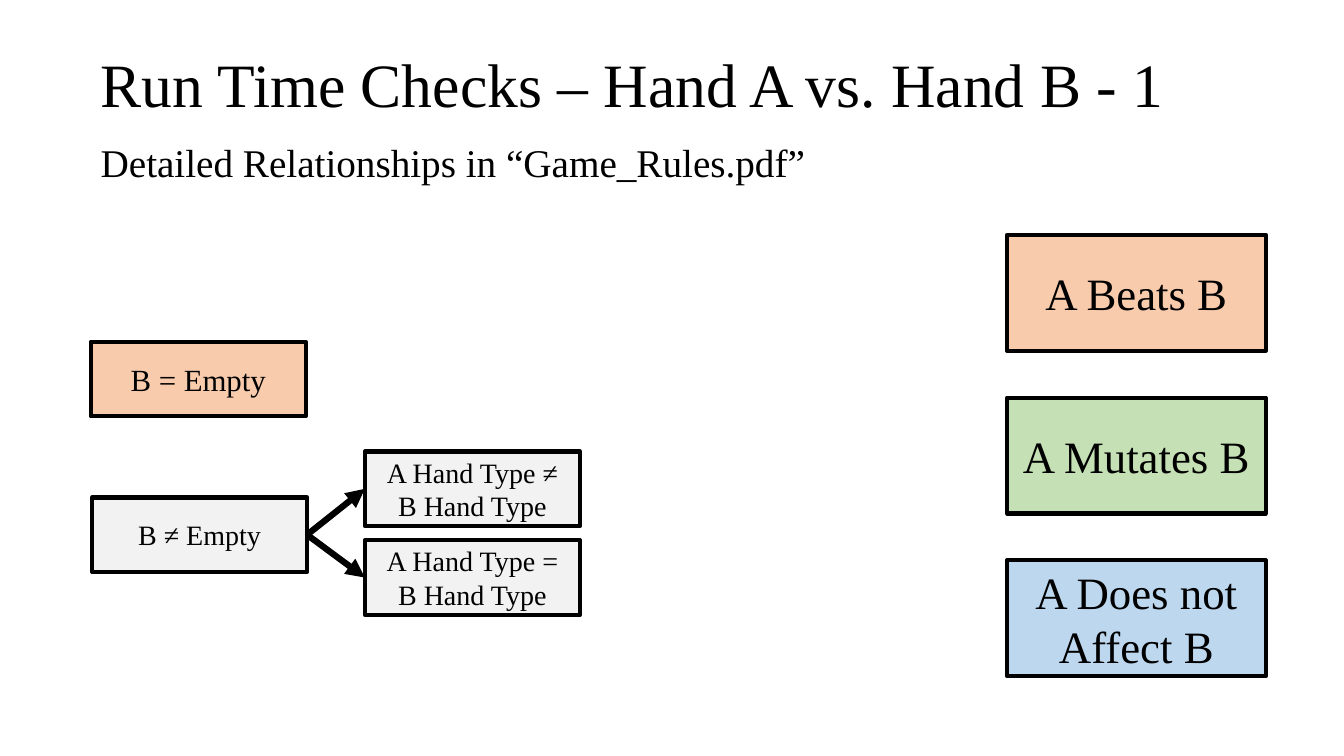
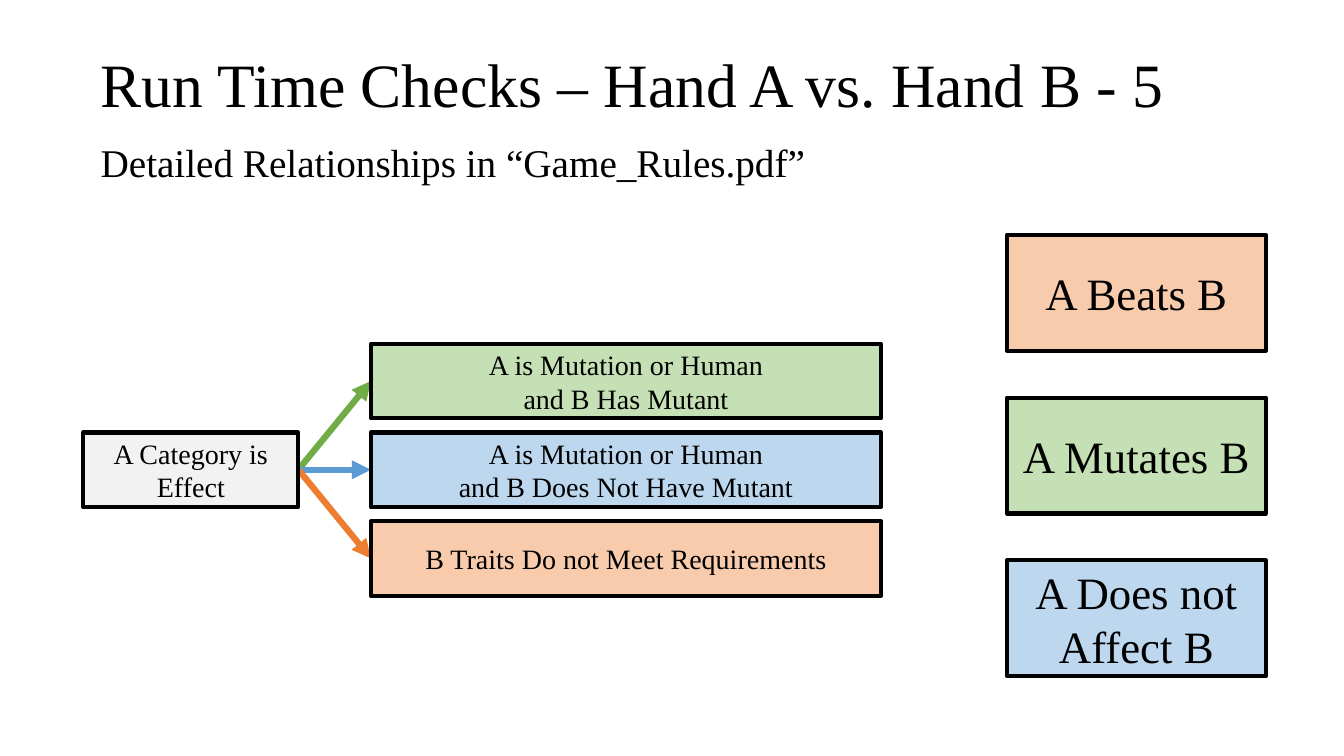
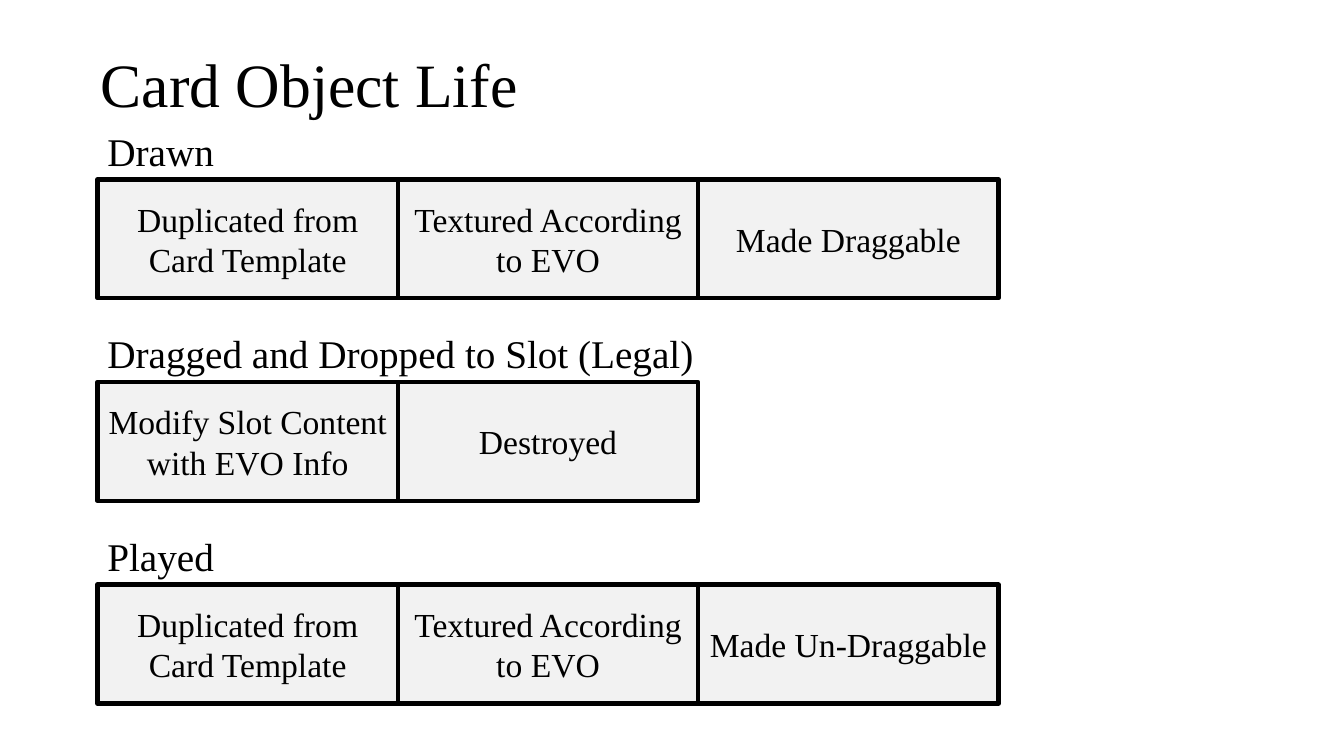
"""Build three slides on hand comparison checks and the life of a card object."""
import pptx
import pptx.dml.color
import pptx.enum.dml
import pptx.enum.shapes
import pptx.enum.text
import pptx.oxml
import pptx.oxml.ns
import pptx.util

FONT = "Times New Roman"
BLACK, GREY = "000000", "F2F2F2"
ORANGE, GREEN, BLUE = "F8CBAD", "C5E0B4", "BDD7EE"
DARK_ORANGE, DARK_GREEN, DARK_BLUE = "ED7D31", "70AD47", "5B9BD5"
color = pptx.dml.color.RGBColor.from_string

presentation = pptx.Presentation()
presentation.slide_width = pptx.util.Inches(13.33)
presentation.slide_height = pptx.util.Inches(7.5)
COLUMN = presentation.slide_width / 100
ROW = presentation.slide_height / 100

MARGIN = 6.75
NODE_WIDTH, NODE_HEIGHT, NODE_STEP = 16, 9.87, 11.73
LABEL_HEIGHT = 7.6


def add_box(slide, text, left, top, width, height, size, fill=None):
    """Add a bordered, centred box, or a plain text box when there is no fill."""
    place = [round(left * COLUMN), round(top * ROW), round(width * COLUMN), round(height * ROW)]
    if fill:
        shape = slide.shapes.add_shape(pptx.enum.shapes.MSO_SHAPE.RECTANGLE, *place)
        shape.shadow.inherit = False
        shape.fill.solid()
        shape.fill.fore_color.rgb = color(fill)
        shape.line.color.rgb = color(BLACK)
        shape.line.width = pptx.util.Pt(3)
        shape.text_frame.vertical_anchor = pptx.enum.text.MSO_ANCHOR.MIDDLE
    else:
        shape = slide.shapes.add_textbox(*place)
        shape.text_frame.auto_size = pptx.enum.text.MSO_AUTO_SIZE.SHAPE_TO_FIT_TEXT
    shape.text_frame.word_wrap = True
    paragraph = shape.text_frame.paragraphs[0]
    paragraph.text = text
    paragraph.alignment = pptx.enum.text.PP_ALIGN.CENTER if fill else pptx.enum.text.PP_ALIGN.LEFT
    paragraph.font.name = FONT
    paragraph.font.size = pptx.util.Pt(size)
    paragraph.font.color.rgb = color(BLACK)
    return shape


def add_arrow(slide, source, target, line_color):
    """Connect the right side of source to the left side of target, behind both."""
    connector = slide.shapes.add_connector(pptx.enum.shapes.MSO_CONNECTOR.STRAIGHT, 0, 0, 0, 0)
    connector.begin_connect(source, 3)
    connector.end_connect(target, 1)
    connector.line.color.rgb = color(line_color)
    connector.line.width = pptx.util.Pt(4.5)
    namespace = pptx.oxml.ns.nsdecls("a")
    connector.line._get_or_add_ln().append(
        pptx.oxml.parse_xml(f'<a:tailEnd {namespace} type="triangle"/>'))
    connector.element.spPr.append(pptx.oxml.parse_xml(f"<a:effectLst {namespace}/>"))
    source.element.addprevious(connector.element)


slides = []
for heading in ["Run Time Checks – Hand A vs. Hand B - 1",
                "Run Time Checks – Hand A vs. Hand B - 5",
                "Card Object Life"]:
    slide = presentation.slides.add_slide(presentation.slide_layouts[5])
    title = slide.shapes.title
    title.left, title.top = round(MARGIN * COLUMN), round(1.87 * ROW)
    title.width, title.height = round(86.25 * COLUMN), round(19.33 * ROW)
    title.text_frame.vertical_anchor = pptx.enum.text.MSO_ANCHOR.MIDDLE
    paragraph = title.text_frame.paragraphs[0]
    paragraph.text = heading
    paragraph.alignment = pptx.enum.text.PP_ALIGN.LEFT
    paragraph.line_spacing = 0.9
    paragraph.font.name = FONT
    paragraph.font.size = pptx.util.Pt(44)
    paragraph.font.color.rgb = color(BLACK)
    slides.append(slide)
first_checks, effect_checks, card_life = slides

outcomes = [("A Beats B", ORANGE), ("A Mutates B", GREEN), ("A Does not Affect B", BLUE)]
for slide in [first_checks, effect_checks]:
    add_box(slide, "Detailed Relationships in “Game_Rules.pdf”",
            MARGIN, 17.6, 65.5, LABEL_HEIGHT, 28)
    for index, (text, fill) in enumerate(outcomes):
        add_box(slide, text, 74.93, 31.07 + index * 21.53, 19.25, 15.33, 32, fill)

add_box(first_checks, "B = Empty", MARGIN, 45.2, NODE_WIDTH, NODE_HEIGHT, 22, ORANGE)
not_empty = add_box(first_checks, "B ≠ Empty", 6.85, 65.8, NODE_WIDTH, NODE_HEIGHT, 20, GREY)
for index, sign in enumerate("≠="):
    hand_type = add_box(first_checks, f"A Hand Type {sign} B Hand Type", 27.15,
                        59.73 + index * NODE_STEP, NODE_WIDTH, NODE_HEIGHT, 20, GREY)
    add_arrow(first_checks, not_empty, hand_type, BLACK)

category = add_box(effect_checks, "A Category is Effect", 6.2, 45.47 + NODE_STEP,
                   NODE_WIDTH, NODE_HEIGHT, 20, GREY)
effects = [
    ("A is Mutation or Human\nand B Has Mutant", GREEN, DARK_GREEN),
    ("A is Mutation or Human\nand B Does Not Have Mutant", BLUE, DARK_BLUE),
    ("B Traits Do not Meet Requirements", ORANGE, DARK_ORANGE),
]
for index, (text, fill, line_color) in enumerate(effects):
    effect = add_box(effect_checks, text, 27.6, 45.47 + index * NODE_STEP,
                     37.95, NODE_HEIGHT, 20, fill)
    add_arrow(effect_checks, category, effect, line_color)

STEP_LEFT, STEP_WIDTH = 7.25, 22.35
setup = ["Duplicated from Card Template", "Textured According to EVO"]
stages = [
    ("Drawn", 22.05, setup + ["Made Draggable"]),
    ("Dragged and Dropped to Slot (Legal)", 46.75,
     ["Modify Slot Content with EVO Info", "Destroyed"]),
    ("Played", 22.05, setup + ["Made Un-Draggable"]),
]
for row, (label, label_width, steps) in enumerate(stages):
    top = 23.73 + row * 26.8
    for column, step in enumerate(steps):
        add_box(card_life, step, STEP_LEFT + column * STEP_WIDTH, top,
                STEP_WIDTH, 15.73, 24, GREY)
    add_box(card_life, label, STEP_LEFT, top - LABEL_HEIGHT, label_width, LABEL_HEIGHT, 28)

presentation.save("out.pptx")
